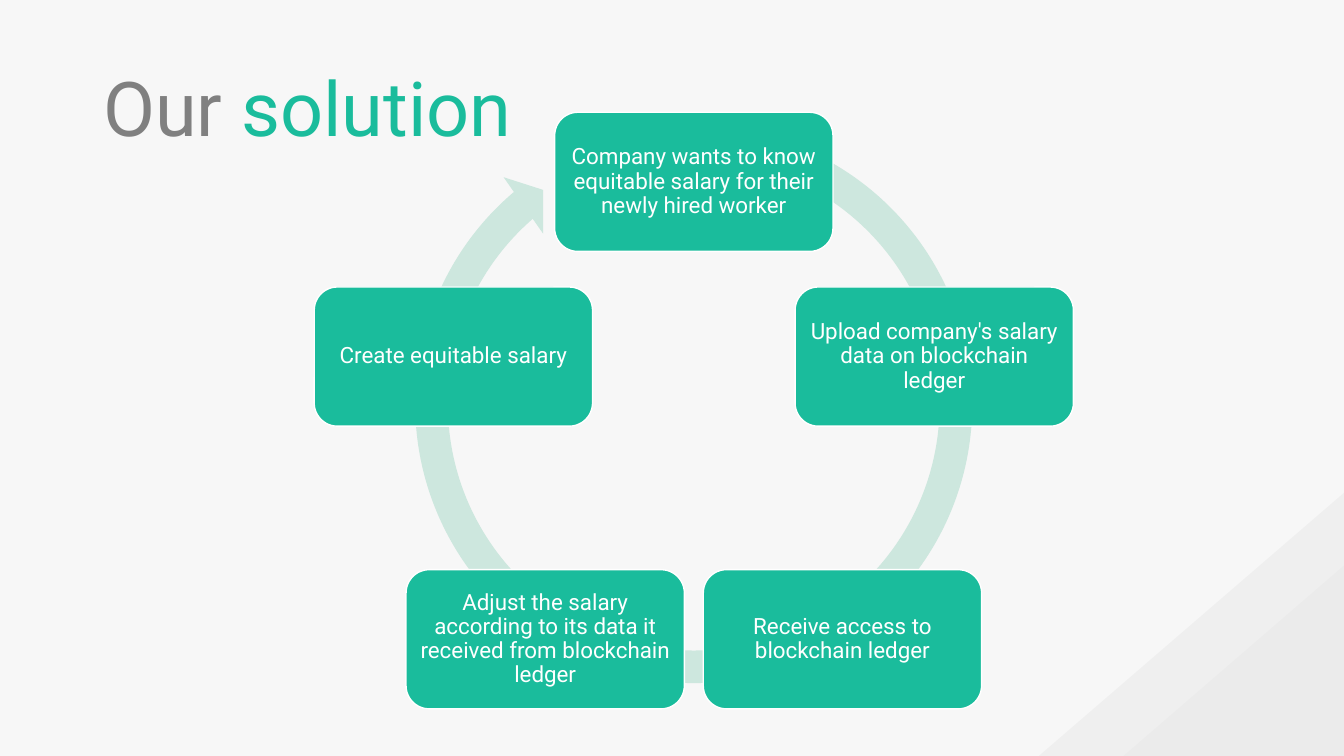
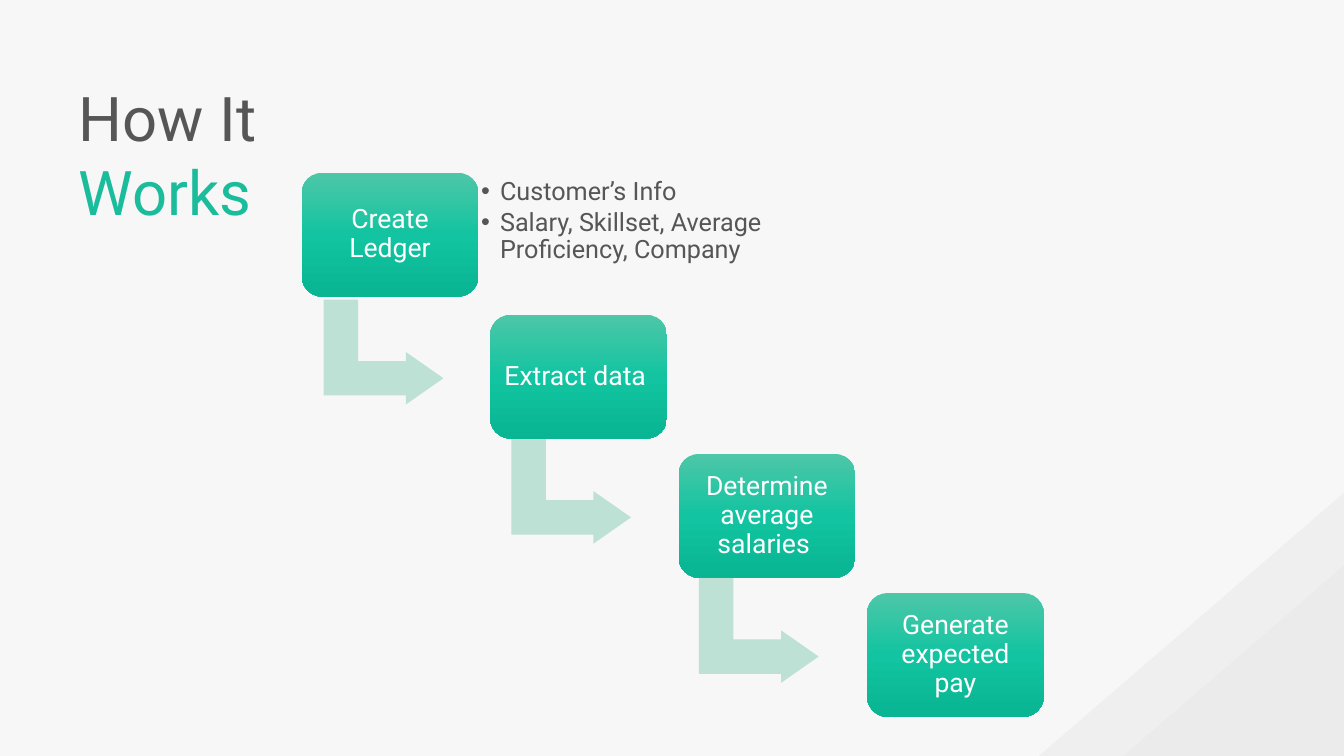
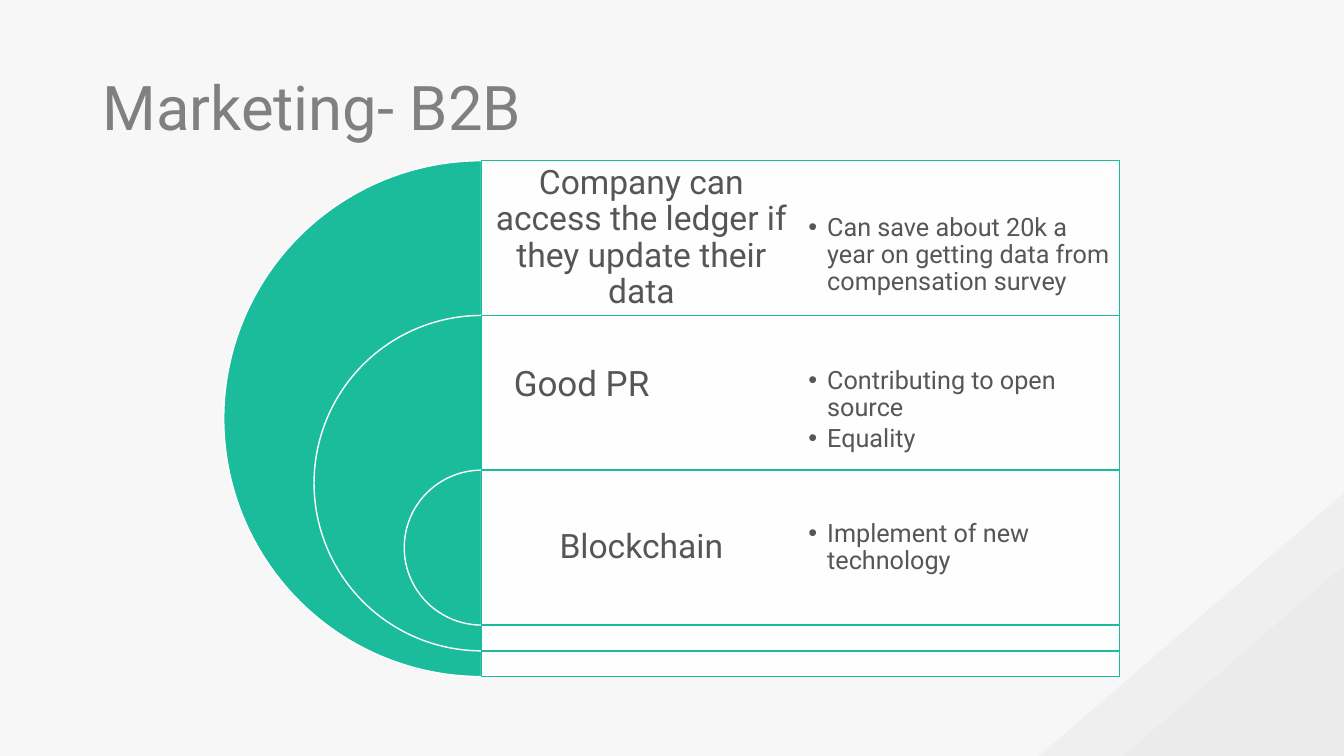
import copy
import math

import lxml.etree
import pptx
import pptx.dml.color
import pptx.enum.shapes
import pptx.enum.text
import pptx.oxml.ns
import pptx.util

Pt = pptx.util.Pt
qn = pptx.oxml.ns.qn
Kind = pptx.enum.shapes.MSO_SHAPE
Align = pptx.enum.text.PP_ALIGN
Anchor = pptx.enum.text.MSO_ANCHOR

FACE = "Roboto"
GREEN, WHITE, DARK, GREY = "1ABC9C", "FFFFFF", "565656", "808080"


def paint(fill, code, alpha=None):
    """Make a fill solid; alpha is its opacity in percent."""
    fill.solid()
    fill.fore_color.rgb = pptx.dml.color.RGBColor.from_string(code)
    if alpha is not None:
        tint = fill._xPr.find(".//" + qn("a:srgbClr"))
        lxml.etree.SubElement(tint, qn("a:alpha"), val=str(alpha * 1000))


def write(box, lines, size, code, pad, space=0.9, bullet=False, center=True):
    """Fill a box with equal paragraphs; bulleted lists hang from the top."""
    frame = box.text_frame
    frame.word_wrap = True
    frame.auto_size = pptx.enum.text.MSO_AUTO_SIZE.NONE
    frame.vertical_anchor = Anchor.MIDDLE if center else Anchor.TOP
    frame.margin_left, frame.margin_top, frame.margin_right, frame.margin_bottom = map(Pt, pad)
    for i, line in enumerate(lines):
        para = frame.paragraphs[0] if i == 0 else frame.add_paragraph()
        para.text = line
        para.alignment = Align.CENTER if center else Align.LEFT
        para.line_spacing = space
        para.space_before = Pt(0)
        para.space_after = Pt(size * (0.15 if bullet else 0.35))
        if bullet:
            props = para._p.get_or_add_pPr()
            props.set("marL", str(Pt(13.5)))
            props.set("indent", str(Pt(-13.5)))
            lxml.etree.SubElement(props, qn("a:buChar"), char="•")
        para.font.name = FACE
        para.font.size = Pt(size)
        para.font.bold = False
        paint(para.font.fill, code)


deck = pptx.Presentation()
deck.slide_width, deck.slide_height = Pt(960), Pt(540)
master = deck.slide_master
paint(master.background.fill, "F7F7F7")

# Titles: layout, left, top, width, height, size, spacing, anchor, runs
titles = [
    (5, 73.8, 46.8, 316, 66, 54, 0.9, Anchor.MIDDLE, [("Our ", GREY), ("solution", GREEN)]),
    (1, 56.3, 53.4, 240, 112, 44, 1.0, Anchor.TOP, [("How It", DARK), ("\n", DARK), ("Works", GREEN)]),
    (4, 73.2, 51.6, 557, 60, 44, 0.9, Anchor.TOP, [("Marketing- B2B", GREY)]),
]
for layout, left, top, width, height, size, space, anchor, runs in titles:
    slide = deck.slides.add_slide(deck.slide_layouts[layout])
    title = slide.shapes.title
    title.left, title.top, title.width, title.height = map(Pt, (left, top, width, height))
    frame = title.text_frame
    frame.word_wrap = True
    frame.auto_size = pptx.enum.text.MSO_AUTO_SIZE.NONE
    frame.vertical_anchor = anchor
    frame.margin_left, frame.margin_top = Pt(0), Pt(3.6)
    para = frame.paragraphs[0]
    para.alignment = Align.LEFT
    para.line_spacing = space
    para.font.name = FACE
    para.font.size = Pt(size)
    for text, code in runs:
        if text == "\n":
            para.add_line_break()
            continue
        run = para.add_run()
        run.text = text
        paint(run.font.fill, code)
ring, steps, market = deck.slides

# Corner triangles, moved to the master so that every slide shows them
for width, height, alpha in [(218, 188, 7), (157.5, 136, 4)]:
    corner = ring.shapes.add_shape(
        Kind.ISOSCELES_TRIANGLE, Pt(960 - width), Pt(540 - height), Pt(width), Pt(height))
    corner.adjustments[0] = 1
    corner.shadow.inherit = False
    paint(corner.fill, "919191", alpha)
    corner.line.fill.background()
    master.shapes.element.append(corner.element)

# Slide 1: five nodes on a circle
arc = ring.shapes.add_shape(Kind.CIRCULAR_ARROW, Pt(283.7), Pt(77.2), Pt(423.7), Pt(423.7))
for i, value in enumerate([0.055, 3.307, 137.676, 173.91, 0.058]):
    arc.adjustments[i] = value
arc.shadow.inherit = False
paint(arc.fill, "CDE7DE")
arc.line.fill.background()

nodes = [
    "Company wants to know equitable salary for their newly hired worker",
    "Upload company's salary data on blockchain ledger",
    "Receive access to blockchain ledger",
    "Adjust the salary according to its data it received from blockchain ledger",
    "Create equitable salary",
]
wide, high, reach = 198.8, 99.4, 180.6
for i, text in enumerate(nodes):
    turn = 2 * math.pi * i / len(nodes)
    mid, level = 495.6 + reach * math.sin(turn), 310.5 - reach * math.cos(turn)
    node = ring.shapes.add_shape(
        Kind.ROUNDED_RECTANGLE, Pt(mid - wide / 2), Pt(level - high / 2), Pt(wide), Pt(high))
    node.shadow.inherit = False
    paint(node.fill, GREEN)
    paint(node.line.fill, WHITE)
    node.line.width = Pt(1)
    write(node, [text], 16, WHITE, [4.8] * 4)

# Slide 2: a staircase of steps
stairs = ["Create Ledger", "Extract data ", "Determine average salaries ", "Generate expected pay"]
for i, text in enumerate(stairs):
    left, top = 215.5 + 134.6 * i, 125.4 + 99.4 * i
    if i < len(stairs) - 1:
        bend = steps.shapes.add_shape(
            Kind.BENT_UP_ARROW, Pt(236.5 + 134 * i), Pt(top + 83.3), Pt(75), Pt(85.5))
        bend.rotation = 90
        for j, value in enumerate([0.328, 0.25, 0.358]):
            bend.adjustments[j] = value
        bend.shadow.inherit = False
        paint(bend.fill, "BDE1D5")
        bend.line.fill.background()
    lift = 2 if i == 0 else 0
    step = steps.shapes.add_shape(
        Kind.ROUNDED_RECTANGLE, Pt(left), Pt(top - lift), Pt(126.3), Pt(88.5))
    step.shadow.inherit = False
    step.line.fill.background()
    step.fill.gradient()
    step.fill.gradient_angle = 270
    stops = step.element.spPr.find(".//" + qn("a:gsLst"))
    stops.append(copy.deepcopy(stops[0]))
    shades = [(0, "4DC7A8"), (0.5, "12C4A1"), (1, "09B593")]
    for stop, (place, code) in zip(step.fill.gradient_stops, shades):
        stop.position = place
        stop.color.rgb = pptx.dml.color.RGBColor.from_string(code)
    write(step, [text], 19, WHITE, [5.7] * 4)

notes = steps.placeholders[1]
notes.left, notes.top, notes.width, notes.height = Pt(338.7), Pt(127.5), Pt(214.5), Pt(71)
write(notes, ["Customer’s Info", "Salary, Skillset, Average Proficiency, Company"],
      18, DARK, (5, 0, 5, 0), bullet=True, center=False)

# Slide 3: nested half discs, each with a row of label and list
edge, row = 344.1, 110.5
rows = [
    ("Company can access the ledger if they update their data",
     ["Can save about 20k a year on getting data from compensation survey"]),
    ("Good PR", ["Contributing to open source", "Equality"]),
    ("Blockchain", ["Implement of new technology"]),
]
lists = [hold for hold in market.placeholders if hold.placeholder_format.idx > 0]
for i, (label, points) in enumerate(rows):
    top, span = 114.8 + row * i, 368.5 - 128.9 * i
    disc = market.shapes.add_shape(Kind.PIE, Pt(edge - span / 2), Pt(top), Pt(span), Pt(span))
    disc.adjustments[0], disc.adjustments[1] = 54, 162
    panel = market.shapes.add_shape(Kind.RECTANGLE, Pt(edge), Pt(top), Pt(455.8), Pt(span))
    for shape, code, alpha, rim in [(disc, GREEN, None, WHITE), (panel, WHITE, 90, GREEN)]:
        shape.shadow.inherit = False
        paint(shape.fill, code, alpha)
        paint(shape.line.fill, rim)
        shape.line.width = Pt(1)

    if label == "Good PR":
        name = market.shapes.add_textbox(Pt(367), Pt(248.4), Pt(194.4), Pt(40.3))
        write(name, [label], 25, DARK, (0, 3.6, 7.2, 3.6), space=1.2, center=False)
    else:
        name = market.shapes.add_textbox(Pt(edge), Pt(top), Pt(228), Pt(row))
        write(name, [label], 24, DARK, [7] * 4)

    hold = lists[i]
    hold.left, hold.top = Pt(edge + 228.3), Pt(153.2 + 109.4 * i)
    hold.width, hold.height = Pt(228), Pt(72)
    write(hold, points, 18, DARK, (5, 0, 5, 0), bullet=True, center=False)
    market.shapes.element.append(hold.element)  # in front of the panels
market.shapes.element.remove(lists[-1].element)

deck.save("out.pptx")
